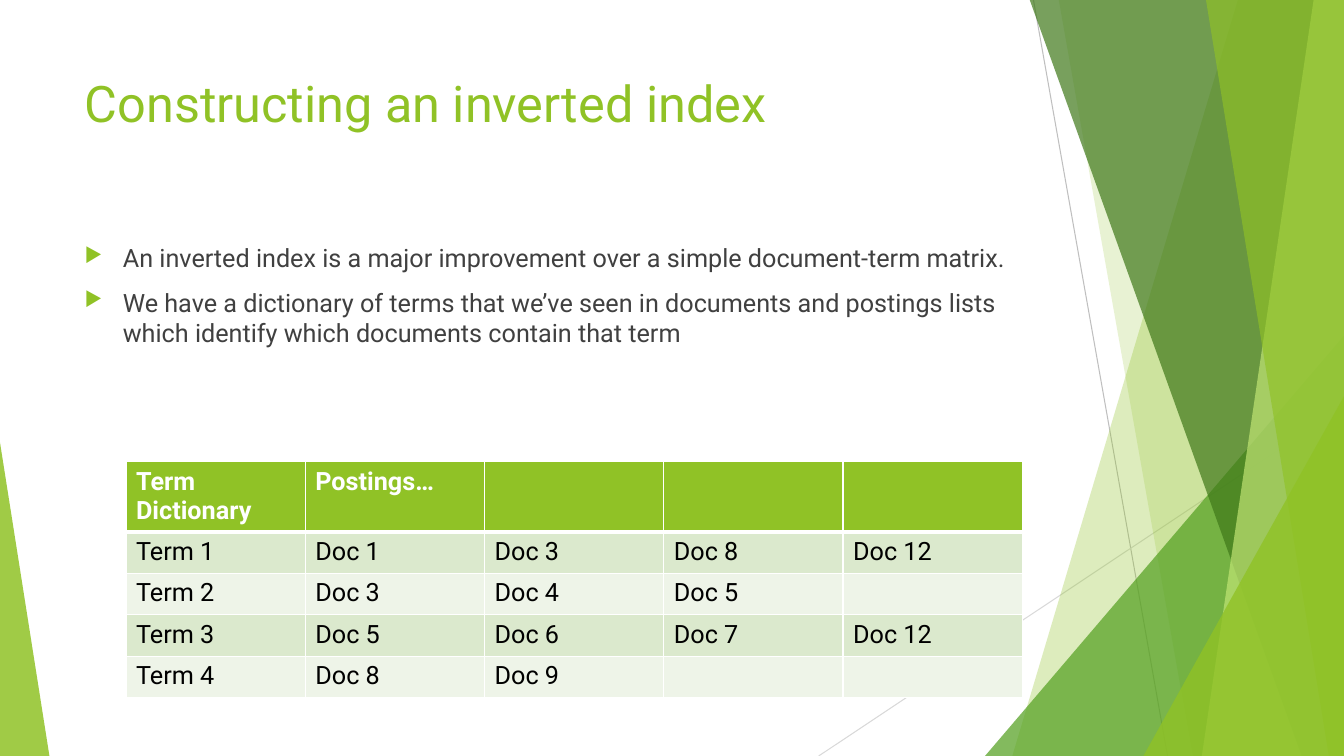
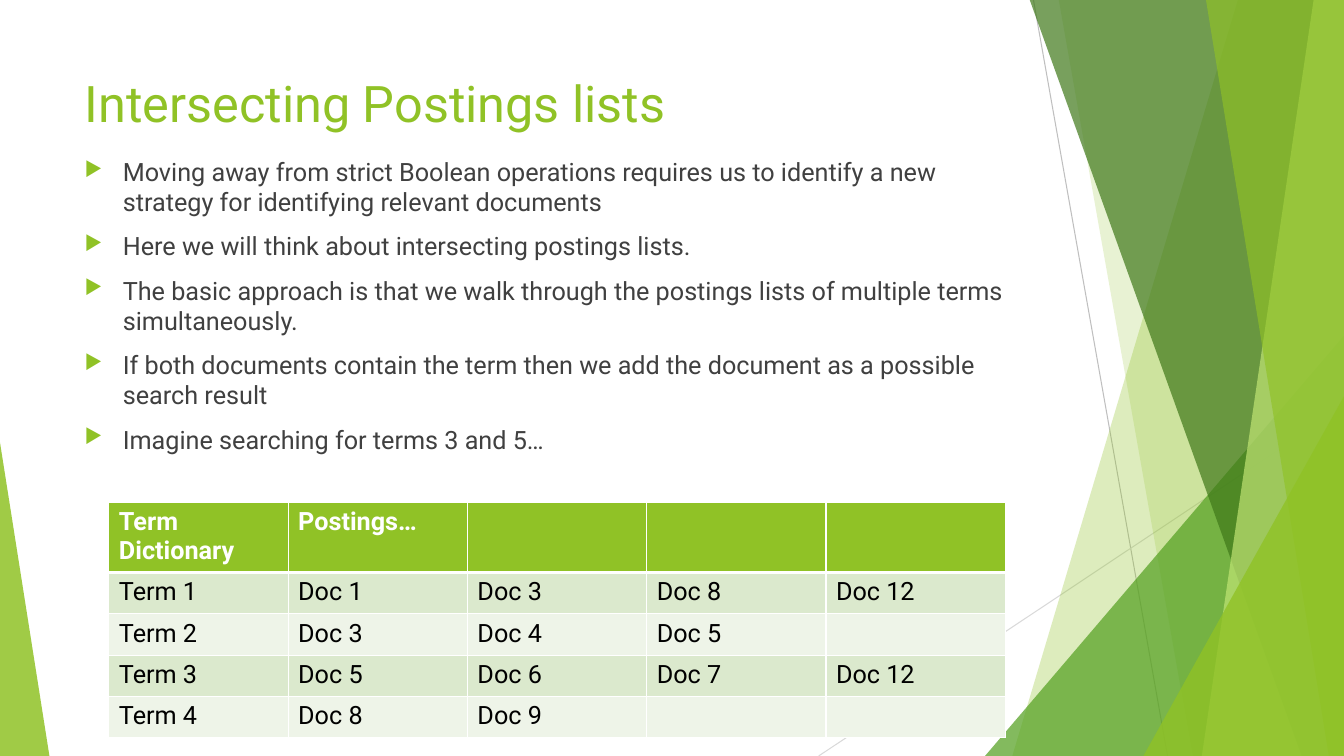
import pptx
import pptx.util
import pptx.dml.color
import pptx.enum.shapes
import pptx.enum.text
import pptx.oxml
import pptx.oxml.ns

Inches = pptx.util.Inches
Pt = pptx.util.Pt
RGBColor = pptx.dml.color.RGBColor
qn = pptx.oxml.ns.qn
nsdecls = pptx.oxml.ns.nsdecls

WIDTH, HEIGHT = 13.33, 7.5
FONT = "Roboto"
LIME = RGBColor(0x90, 0xC2, 0x26)
GREEN = RGBColor(0x54, 0xA0, 0x21)
FOREST = RGBColor(0x3F, 0x78, 0x19)
PALE_LIME = RGBColor(0xC0, 0xE4, 0x74)
SILVER = RGBColor(0xBF, 0xBF, 0xBF)
MIST = RGBColor(0xD9, 0xD9, 0xD9)
WHITE = RGBColor(0xFF, 0xFF, 0xFF)
BLACK = RGBColor(0x00, 0x00, 0x00)
CHARCOAL = RGBColor(0x40, 0x40, 0x40)
BAND_DARK = RGBColor(0xDB, 0xE9, 0xCD)
BAND_LIGHT = RGBColor(0xEE, 0xF4, 0xE8)


class Deck:
    def __init__(self):
        self.prs = pptx.Presentation()
        self.prs.slide_width = Inches(WIDTH)
        self.prs.slide_height = Inches(HEIGHT)
        self.layout = self.prs.slide_layouts[5]
        self.slide = None

    def new_slide(self, title):
        self.slide = self.prs.slides.add_slide(self.layout)
        sp = self.slide.shapes.title
        self.place(sp, 0.74, 0.67, 9.4, 1.44)
        tf = sp.text_frame
        tf.text = title
        tf.word_wrap = True
        tf.auto_size = pptx.enum.text.MSO_AUTO_SIZE.NONE
        tf.vertical_anchor = pptx.enum.text.MSO_ANCHOR.TOP
        p = tf.paragraphs[0]
        p.alignment = pptx.enum.text.PP_ALIGN.LEFT
        self.style_runs(p, 36, LIME)

    def place(self, sp, left, top, width, height):
        sp.left, sp.top = Inches(left), Inches(top)
        sp.width, sp.height = Inches(width), Inches(height)

    def style_runs(self, p, size, color, bold=False):
        for r in p.runs:
            r.font.name = FONT
            r.font.size = Pt(size)
            r.font.bold = bold
            r.font.color.rgb = color

    def paint(self, sp, color, opacity):
        sp.shadow.inherit = False
        sp.line.fill.background()
        sp.fill.solid()
        sp.fill.fore_color.rgb = color
        clr = sp.fill._xPr.find(qn("a:solidFill"))[0]
        clr.append(pptx.oxml.parse_xml(
            f'<a:alpha {nsdecls("a")} val="{opacity * 1000}"/>'))

    def line(self, x1, y1, x2, y2, color):
        sp = self.slide.shapes.add_connector(
            pptx.enum.shapes.MSO_CONNECTOR.STRAIGHT,
            Inches(x1), Inches(y1), Inches(x2), Inches(y2))
        sp.line.color.rgb = color
        sp.line.width = Pt(0.75)
        sp.element.spPr.append(
            pptx.oxml.parse_xml(f'<a:effectLst {nsdecls("a")}/>'))
        return sp

    def shard(self, top_x, bottom_x, color, opacity):
        top = Inches(-0.01)
        builder = self.slide.shapes.build_freeform(Inches(top_x), top)
        builder.add_line_segments([
            (Inches(WIDTH), top),
            (Inches(WIDTH), Inches(HEIGHT)),
            (Inches(bottom_x), Inches(HEIGHT))])
        sp = builder.convert_to_shape()
        self.paint(sp, color, opacity)
        return sp

    def corner(self, left, top, width, apex, color, opacity):
        sp = self.slide.shapes.add_shape(
            pptx.enum.shapes.MSO_SHAPE.ISOSCELES_TRIANGLE,
            Inches(left), Inches(top), Inches(width), Inches(HEIGHT - top))
        sp.adjustments[0] = apex
        self.paint(sp, color, opacity)
        return sp

    def decorate_layout(self):
        facets = [
            self.line(10.25, 0, 11.58, HEIGHT, SILVER),
            self.line(WIDTH, 4.03, 8.12, HEIGHT, MIST),
            self.shard(12.28, 10.04, LIME, 30),
            self.shard(10.5, 11.83, LIME, 20),
            self.corner(9.77, 3.33, 3.56, 1, GREEN, 72),
            self.shard(10.21, 12.91, FOREST, 70),
            self.shard(13.03, 11.92, PALE_LIME, 70),
            self.shard(11.96, 13.18, LIME, 65),
            self.corner(11.34, 3.93, 1.99, 1, LIME, 80),
            self.corner(0, 4.39, 0.49, 0, LIME, 85)]
        tree = self.layout.shapes.element
        for number, sp in enumerate(facets, 101):
            sp.element.xpath(".//p:cNvPr")[0].set("id", str(number))
            tree.append(sp.element)

    def bullets(self, top, height, items):
        sp = self.slide.shapes.add_textbox(
            Inches(0.74), Inches(top), Inches(9.4), Inches(height))
        tf = sp.text_frame
        tf.word_wrap = True
        tf.text = "\n".join(items)
        for p in tf.paragraphs:
            p.space_before = Pt(10)
            self.style_runs(p, 18, CHARCOAL)
            pPr = p._p.get_or_add_pPr()
            pPr.set("marL", str(Inches(0.38)))
            pPr.set("indent", str(Inches(-0.38)))
            for tag in (f'buClr {nsdecls("a")}><a:srgbClr val="{LIME}"/></a:buClr',
                        f'buSzPct {nsdecls("a")} val="80000"/',
                        f'buChar {nsdecls("a")} char="\u25b6"/'):
                pPr.append(pptx.oxml.parse_xml(f"<a:{tag}>"))

    def borders(self, cell, top, bottom):
        tcPr = cell._tc.get_or_add_tcPr()
        for side, width in (("L", 1), ("R", 1), ("T", top), ("B", bottom)):
            tcPr.append(pptx.oxml.parse_xml(
                f'<a:ln{side} {nsdecls("a")} w="{Pt(width)}"><a:solidFill>'
                f'<a:srgbClr val="{WHITE}"/></a:solidFill></a:ln{side}>'))

    def table(self, left, top, rows):
        count = len(rows[0])
        table = self.slide.shapes.add_table(
            len(rows), count, Inches(left), Inches(top),
            Inches(8.89), Inches(2.32)).table
        for col in table.columns:
            col.width = Inches(8.89 / count)
        for i, values in enumerate(rows):
            header = i == 0
            table.rows[i].height = Inches(0.68 if header else 0.41)
            fill = LIME if header else BAND_DARK if i % 2 else BAND_LIGHT
            for j, value in enumerate(values):
                cell = table.cell(i, j)
                self.borders(cell, 3 if i == 1 else 1, 3 if header else 1)
                cell.fill.solid()
                cell.fill.fore_color.rgb = fill
                cell.text_frame.text = value
                self.style_runs(cell.text_frame.paragraphs[0], 18,
                                WHITE if header else BLACK, header)


POSTINGS = [
    ["Term Dictionary", "Postings…", "", "", ""],
    ["Term 1", "Doc 1", "Doc 3", "Doc 8", "Doc 12"],
    ["Term 2", "Doc 3", "Doc 4", "Doc 5", ""],
    ["Term 3", "Doc 5", "Doc 6", "Doc 7", "Doc 12"],
    ["Term 4", "Doc 8", "Doc 9", "", ""],
]

deck = Deck()

deck.new_slide("Constructing an inverted index")
deck.decorate_layout()
deck.bullets(2.36, 4.24, [
    "An inverted index is a major improvement over a simple document-term matrix.",
    "We have a dictionary of terms that we’ve seen in documents and postings lists "
    "which identify which documents contain that term",
])
deck.table(1.25, 4.58, POSTINGS)

deck.new_slide("Intersecting Postings lists")
deck.bullets(1.5, 5.11, [
    "Moving away from strict Boolean operations requires us to identify a new "
    "strategy for identifying relevant documents",
    "Here we will think about intersecting postings lists.",
    "The basic approach is that we walk through the postings lists of multiple "
    "terms simultaneously.",
    "If both documents contain the term then we add the document as a possible "
    "search result",
    "Imagine searching for terms 3 and 5…",
])
deck.table(1.08, 4.98, POSTINGS)

deck.prs.save("out.pptx")
